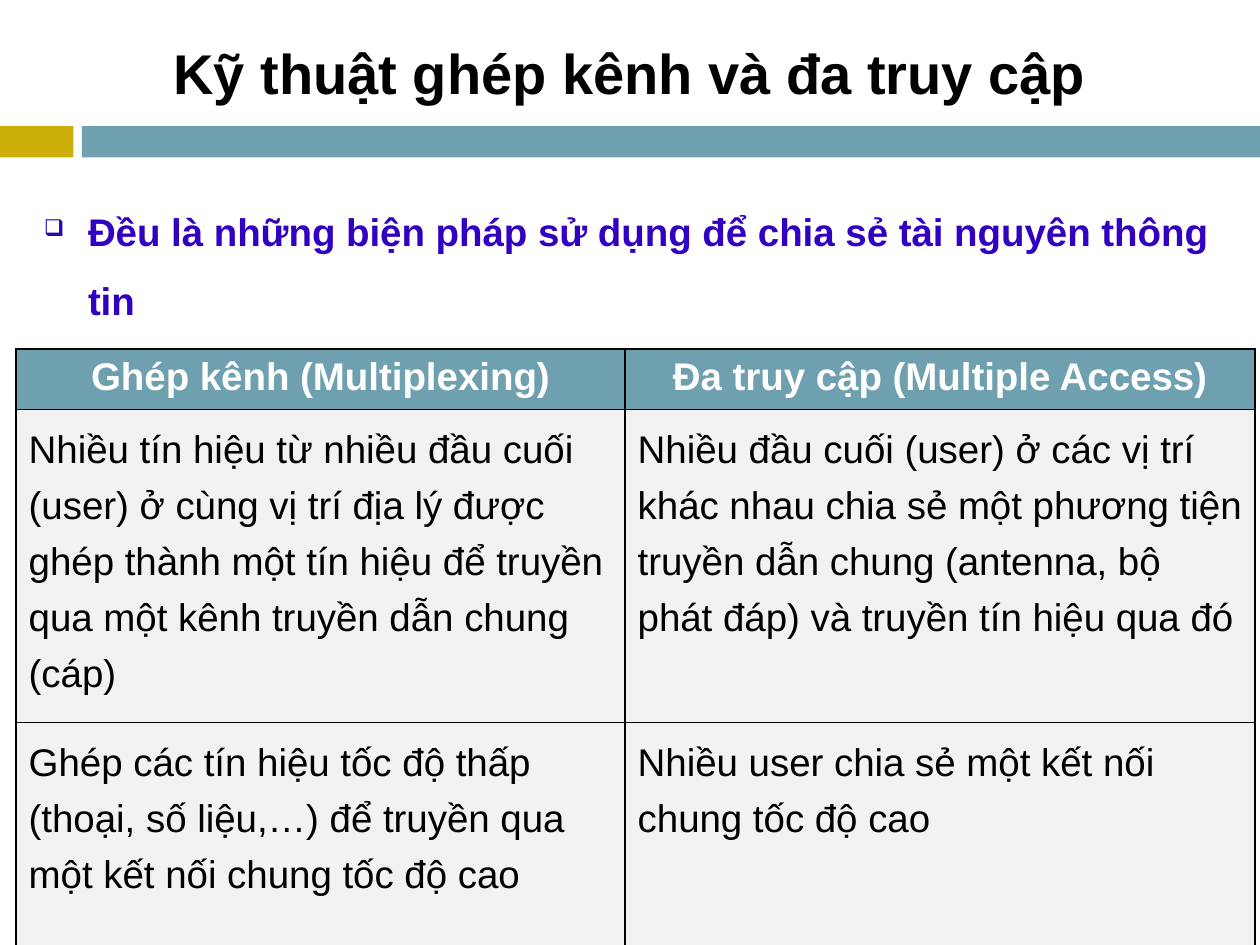
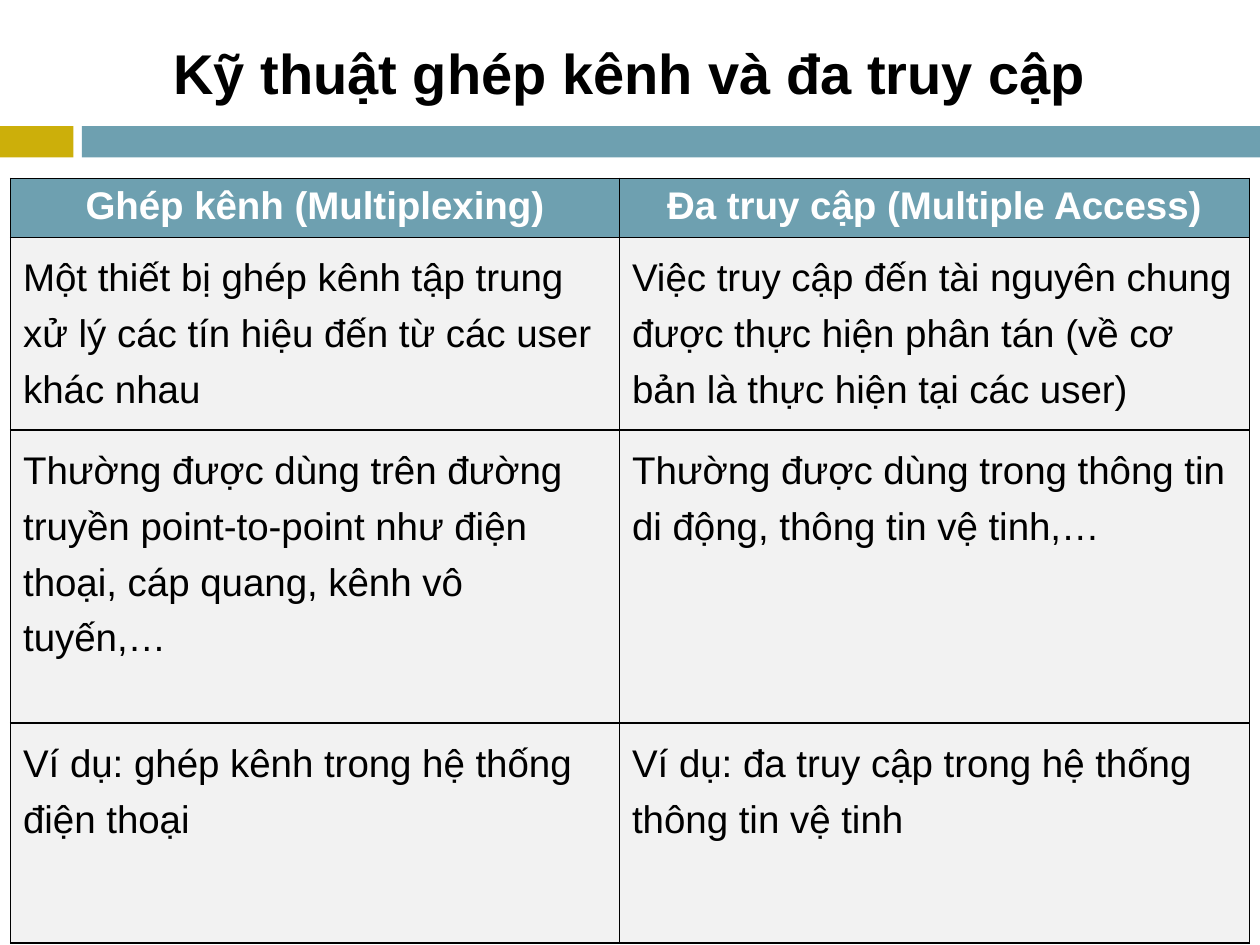
from lxml import etree
from pptx import Presentation
from pptx.dml.color import RGBColor
from pptx.enum import shapes, text
from pptx.oxml import ns
from pptx.util import Pt

GOLD = RGBColor(0xCC, 0xAF, 0x0A)
TEAL = RGBColor(0x6E, 0xA0, 0xB0)
GREY = RGBColor(0xF2, 0xF2, 0xF2)
BLACK = RGBColor(0, 0, 0)
WHITE = RGBColor(0xFF, 0xFF, 0xFF)
VIOLET = RGBColor(0x32, 0x00, 0xC0)
BULLET = RGBColor(0x29, 0x09, 0xAF)

FONT = "Arial"
WIDTH, HEIGHT = 720, 540
BODY_SIZE = 22
COLUMNS = (348, 360)
TITLE = "Kỹ thuật ghép kênh và đa truy cập"
HEADER = ("Ghép kênh (Multiplexing)", "Đa truy cập (Multiple Access)")

SHARING_ROWS = (
    ("Nhiều tín hiệu từ nhiều đầu cuối (user) ở cùng vị trí địa lý được ghép "
     "thành một tín hiệu để truyền qua một kênh truyền dẫn chung (cáp)",
     "Nhiều đầu cuối (user) ở các vị trí khác nhau chia sẻ một phương tiện "
     "truyền dẫn chung (antenna, bộ phát đáp) và truyền tín hiệu qua đó"),
    ("Ghép các tín hiệu tốc độ thấp (thoại, số liệu,…) để truyền qua "
     "một kết nối chung tốc độ cao",
     "Nhiều user chia sẻ một kết nối chung tốc độ cao"),
)
USAGE_ROWS = (
    ("Một thiết bị ghép kênh tập trung xử lý các tín hiệu đến từ các user khác nhau",
     "Việc truy cập đến tài nguyên chung được thực hiện phân tán "
     "(về cơ bản là thực hiện tại các user)"),
    ("Thường được dùng trên đường truyền point-to-point như điện thoại, "
     "cáp quang, kênh vô tuyến,…",
     "Thường được dùng trong thông tin di động, thông tin vệ tinh,…"),
    ("Ví dụ: ghép kênh trong hệ thống điện thoại",
     "Ví dụ: đa truy cập trong hệ thống thông tin vệ tinh"),
)


def add_xml(parent, tag, **attributes):
    return etree.SubElement(parent, ns.qn(tag), **attributes)


def write(tf, content, size, color, bold):
    """Put one styled paragraph into a text frame and return it."""
    tf.word_wrap = True
    p = tf.paragraphs[0]
    p.text = content
    for r in p.runs:
        r.font.name, r.font.size = FONT, Pt(size)
        r.font.bold, r.font.color.rgb = bold, color
    return p


def add_band(s, left, width, color, top=72, height=18):
    sp = s.shapes.add_shape(shapes.MSO_SHAPE.RECTANGLE,
                            Pt(left), Pt(top), Pt(width), Pt(height))
    sp.shadow.inherit = False
    sp.fill.solid()
    sp.fill.fore_color.rgb = color
    sp.line.fill.background()


def add_title(s, left, top, width, height):
    tf = s.shapes.add_textbox(Pt(left), Pt(top), Pt(width), Pt(height)).text_frame
    tf.vertical_anchor = text.MSO_ANCHOR.MIDDLE
    write(tf, TITLE, 32, BLACK, True).alignment = text.PP_ALIGN.CENTER


def add_bullet_text(s, content, left, top, width, height, indent=25.2):
    tf = s.shapes.add_textbox(Pt(left), Pt(top), Pt(width), Pt(height)).text_frame
    p = write(tf, content, BODY_SIZE, VIOLET, True)
    pPr = p._p.get_or_add_pPr()
    pPr.set("marL", str(Pt(indent)))
    pPr.set("indent", str(-Pt(indent)))
    add_xml(add_xml(pPr, "a:buClr"), "a:srgbClr", val=str(BULLET))
    add_xml(pPr, "a:buSzPct", val="60000")
    add_xml(pPr, "a:buChar", char="❑")
    p.line_spacing = 1.5


def add_borders(cell):
    tcPr = cell._tc.get_or_add_tcPr()
    for side in "LRTB":
        ln = add_xml(tcPr, f"a:ln{side}", w=str(Pt(1)))
        add_xml(add_xml(ln, "a:solidFill"), "a:srgbClr", val=str(BLACK))


def add_comparison(s, rows, left, top, heights):
    """Table with the shared header above the given rows."""
    tbl = s.shapes.add_table(len(heights), len(COLUMNS), Pt(left), Pt(top),
                             Pt(sum(COLUMNS)), Pt(sum(heights))).table
    for column, width in zip(tbl.columns, COLUMNS):
        column.width = Pt(width)
    for i, (height, row) in enumerate(zip(heights, (HEADER, *rows))):
        tbl.rows[i].height = Pt(height)
        is_header = i == 0
        for j, content in enumerate(row):
            cell = tbl.cell(i, j)
            add_borders(cell)
            cell.fill.solid()
            cell.fill.fore_color.rgb = TEAL if is_header else GREY
            p = write(cell.text_frame, content, BODY_SIZE,
                      WHITE if is_header else BLACK, is_header)
            if is_header:
                p.alignment = text.PP_ALIGN.CENTER
            else:
                p.line_spacing = 1.3


def add_base_slide(prs):
    """Blank slide with the two bands and the title."""
    s = prs.slides.add_slide(prs.slide_layouts[6])
    add_band(s, 0, 42, GOLD)
    add_band(s, 46.8, WIDTH - 46.8, TEAL)
    add_title(s, 30, 0, WIDTH - 2 * 30, 82.8)
    return s


def main():
    prs = Presentation()
    prs.slide_width, prs.slide_height = Pt(WIDTH), Pt(HEIGHT)

    s = add_base_slide(prs)
    add_bullet_text(s, "Đều là những biện pháp sử dụng để chia sẻ tài nguyên thông tin",
                    18, 102, 702, 54)
    add_comparison(s, SHARING_ROWS, 9.2, 199.5, (34.5, 167, 135))

    s = add_base_slide(prs)
    add_comparison(s, USAGE_ROWS, 6, 102, (31.5, 103, 167.5, 125.5))

    prs.save("out.pptx")


if __name__ == "__main__":
    main()
